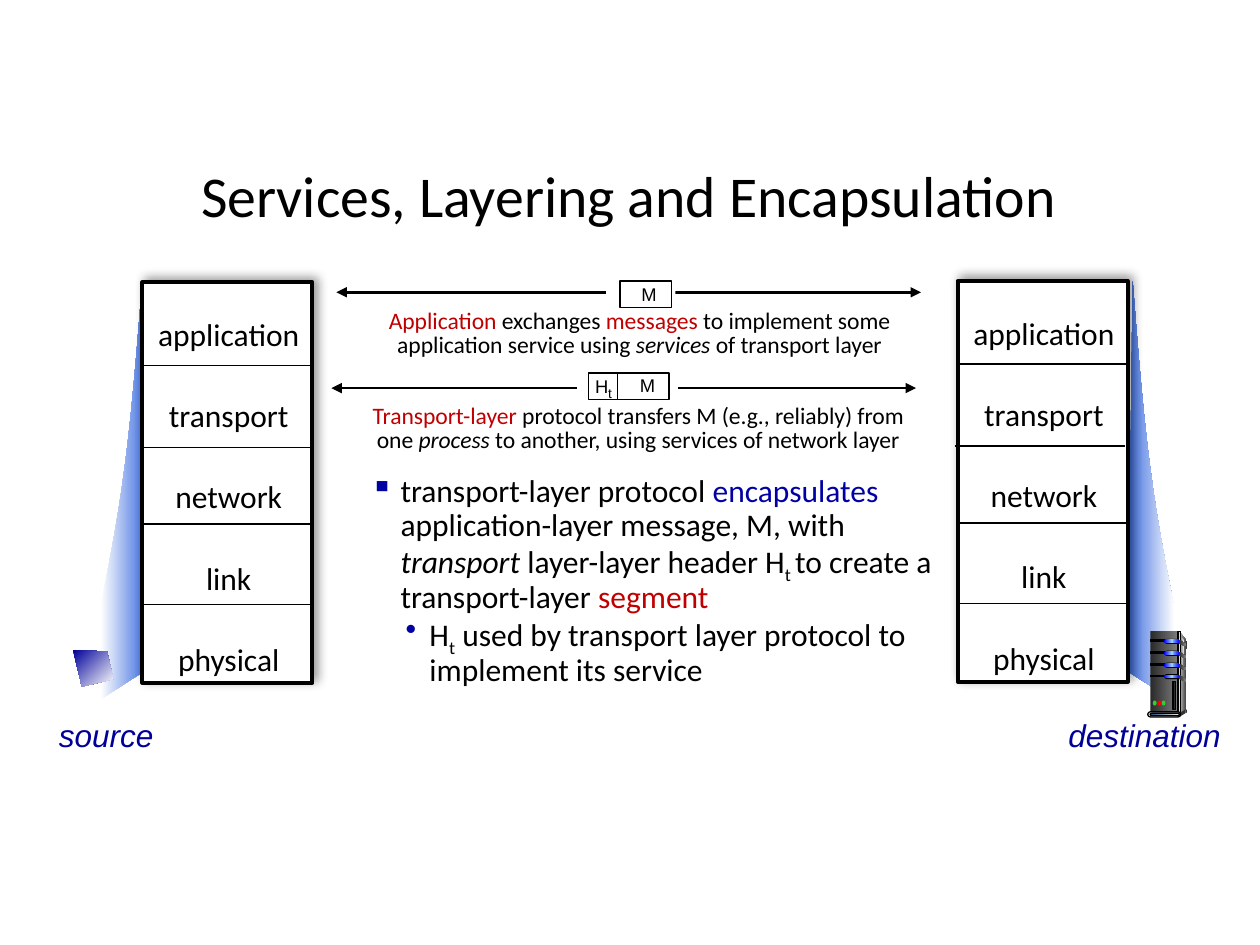
"""Build the slide on services, layering and encapsulation on a grid of 1000 columns by 750 rows."""
from copy import deepcopy
from dataclasses import dataclass
from typing import NamedTuple, Optional

from lxml import etree
from pptx import Presentation
from pptx.dml.color import RGBColor
from pptx.enum.shapes import MSO_CONNECTOR, MSO_SHAPE
from pptx.enum.text import MSO_ANCHOR, MSO_AUTO_SIZE, PP_ALIGN
from pptx.oxml.ns import qn
from pptx.util import Inches, Pt

RECT, ROUND, OVAL = MSO_SHAPE.RECTANGLE, MSO_SHAPE.ROUNDED_RECTANGLE, MSO_SHAPE.OVAL
STRAIGHT = MSO_CONNECTOR.STRAIGHT
LEFT, CENTER = PP_ALIGN.LEFT, PP_ALIGN.CENTER
TOP, MIDDLE = MSO_ANCHOR.TOP, MSO_ANCHOR.MIDDLE
GROW, FIXED = MSO_AUTO_SIZE.SHAPE_TO_FIT_TEXT, MSO_AUTO_SIZE.NONE

BLACK, WHITE = RGBColor(0, 0, 0), RGBColor(255, 255, 255)
CRIMSON, INDIGO, NAVY = (RGBColor.from_string(c) for c in ("C00000", "0000A3", "000099"))
BEAM, BLUE, SKY = (RGBColor.from_string(c) for c in ("3C6CDF", "0000FF", "99CCFF"))
COAL, CHARCOAL, GREY = (RGBColor.from_string(c) for c in ("292929", "333333", "808080"))
SILVER, PALE = (RGBColor.from_string(c) for c in ("DDDDDD", "F8F8F8"))
GREEN, RED = (RGBColor.from_string(c) for c in ("33CC33", "FF0000"))
SLATE, CREAM = (RGBColor.from_string(c) for c in ("1F497D", "EEECE1"))

CELL = Inches(0.01)
COLUMNS, ROWS = 1000, 750
LAYERS = ("application", "transport", "network", "link", "physical")
DIVIDERS = ((0, 66), (-2, 131), (-1, 192), (-1, 256))
CURVE_STEPS = 12


class Box(NamedTuple):
    col: float
    row: float
    cols: float
    rows: float

    def emu(self) -> list[int]:
        return [round(length * CELL) for length in self]


@dataclass
class Words:
    text: str
    color: RGBColor = BLACK
    italic: bool = False
    subscript: bool = False
    size: Optional[float] = None


@dataclass
class Field:
    frame: Box
    label: Box
    words: list[Words]


@dataclass
class Exchange:
    arrow_col: float
    arrow_row: float
    gap: Box
    fields: list[Field]
    caption: Box
    sentence: list[Words]


@dataclass
class Endpoint:
    stack: Box
    name: str
    name_box: Box


def paint(shape, colors: tuple, outline: float = 0, angle: float = 0) -> None:
    """Fill with one colour or an even gradient, and outline in black."""
    shape.shadow.inherit = False
    if len(colors) == 1:
        shape.fill.solid()
        shape.fill.fore_color.rgb = colors[0]
    else:
        shape.fill.gradient()
        shape.fill.gradient_angle = angle
        stop_list = shape.element.spPr.find(qn("a:gradFill")).find(qn("a:gsLst"))
        for _ in colors[2:]:
            stop_list.append(deepcopy(stop_list[0]))
        for index, (stop, color) in enumerate(zip(shape.fill.gradient_stops, colors)):
            stop.position = index / (len(colors) - 1)
            stop.color.rgb = color
    if outline:
        shape.line.color.rgb = BLACK
        shape.line.width = Pt(outline)
    else:
        shape.line.fill.background()


def add_block(slide, kind, box: Box, *colors: RGBColor, outline: float = 0):
    """Draw a preset shape, with fully rounded ends where it is rounded."""
    block = slide.shapes.add_shape(kind, *box.emu())
    if kind == ROUND:
        block.adjustments[0] = 0.5
    paint(block, colors, outline)
    return block


def add_outline(slide, steps: list[tuple], *colors: RGBColor, angle: float = 0) -> None:
    """Draw a closed outline of points and six-number Bezier curves."""
    points = [steps[0]]
    for step in steps[1:]:
        if len(step) == 2:
            points.append(step)
            continue
        start, first, second, end = points[-1], step[:2], step[2:4], step[4:]
        for t in (n / CURVE_STEPS for n in range(1, CURVE_STEPS + 1)):
            u = 1 - t
            points.append(tuple(
                u**3 * a + 3 * u * u * t * b + 3 * u * t * t * c + t**3 * d
                for a, b, c, d in zip(start, first, second, end)))
    corners = [(x * CELL, y * CELL) for x, y in points]
    builder = slide.shapes.build_freeform(*corners[0], scale=1.0)
    builder.add_line_segments(corners[1:], close=True)
    paint(builder.convert_to_shape(), colors, angle=angle)


def add_line(slide, start: tuple, end: tuple, width: float, arrows: bool = False) -> None:
    """Draw a black line, optionally with an arrowhead at both ends."""
    line = slide.shapes.add_connector(
        STRAIGHT, *(round(v * CELL) for v in (*start, *end)))
    line.line.color.rgb = BLACK
    line.line.width = Pt(width)
    properties = line.element.spPr
    if arrows:
        for tag in ("a:headEnd", "a:tailEnd"):
            etree.SubElement(properties.find(qn("a:ln")), qn(tag), type="triangle")
    etree.SubElement(properties, qn("a:effectLst"))


def add_words(paragraph, words: list[Words], font: str, size: float) -> None:
    """Add formatted runs to a paragraph."""
    for part in words:
        run = paragraph.add_run()
        run.text = part.text
        run.font.name, run.font.size = font, Pt(part.size or size)
        run.font.color.rgb, run.font.italic = part.color, part.italic
        if part.subscript:
            run.font._element.set("baseline", "-25000")


def add_bullet(paragraph, level: int, mark: str, margin: float, hang: float) -> None:
    """Give a paragraph a coloured bullet and a hanging indent."""
    paragraph.level = level
    properties = paragraph._p.get_or_add_pPr()
    properties.set("marL", str(Inches(margin)))
    properties.set("indent", str(-Inches(hang)))
    color = etree.SubElement(properties, qn("a:buClr"))
    etree.SubElement(color, qn("a:srgbClr"), val=str(INDIGO))
    etree.SubElement(properties, qn("a:buChar"), char=mark)


def add_text(slide, box: Box, paragraphs: list[list[Words]], font: str, size: float,
             align=LEFT, spacing: float = 1.0, wrap: bool = True, anchor=TOP,
             bullets: tuple = ()) -> None:
    """Place a text box with one list of runs per paragraph."""
    frame = slide.shapes.add_textbox(*box.emu()).text_frame
    frame.word_wrap, frame.vertical_anchor = wrap, anchor
    frame.auto_size = FIXED if anchor == MIDDLE else GROW
    for index, words in enumerate(paragraphs):
        paragraph = frame.add_paragraph() if index else frame.paragraphs[0]
        if bullets:
            add_bullet(paragraph, index, *bullets[index])
        paragraph.alignment, paragraph.line_spacing = align, spacing
        add_words(paragraph, words, font, size)


def add_endpoint(slide, endpoint: Endpoint) -> None:
    """Draw a shadowed protocol stack and the name of its host."""
    col, row, cols, _ = endpoint.stack
    stack = add_block(slide, RECT, endpoint.stack, WHITE, outline=2.25)
    shadow = etree.SubElement(
        stack.element.spPr.find(qn("a:effectLst")), qn("a:outerShdw"),
        blurRad=str(Pt(6)), dist=str(Pt(3)), dir="18900000", rotWithShape="0")
    tint = etree.SubElement(shadow, qn("a:srgbClr"), val=str(BLACK))
    etree.SubElement(tint, qn("a:alpha"), val="40000")
    add_text(slide, Box(col - 4, row - 13.5, cols + 10, 336),
             [[Words(layer)] for layer in LAYERS], "Calibri", 18, CENTER, 2.15)
    for shift, depth in DIVIDERS:
        add_line(slide, (col + shift, row + depth), (col + shift + cols, row + depth), 0.75)
    add_text(slide, endpoint.name_box, [[Words(endpoint.name, NAVY, True)]],
             "Arial", 18, wrap=False)


def add_exchange(slide, exchange: Exchange) -> None:
    """Draw a two-way arrow interrupted by a packet, with its caption."""
    col, row = exchange.arrow_col, exchange.arrow_row
    add_line(slide, (col, row), (col + 464, row), 1.5, arrows=True)
    add_text(slide, exchange.caption, [exchange.sentence], "Calibri", 13.5, CENTER, 0.85)
    add_block(slide, RECT, exchange.gap, WHITE)
    for field in exchange.fields:
        add_block(slide, RECT, field.frame, WHITE, outline=0.75)
        add_text(slide, field.label, [field.words], "Arial", 10.5, CENTER,
                 wrap=False, anchor=MIDDLE)


def add_server(slide) -> None:
    """Draw the destination tower with its drive slots, lights and base."""
    add_outline(slide, [(936, 501), (942, 509), (941, 563), (935, 566)], SILVER, CHARCOAL)
    add_block(slide, RECT, Box(913, 501, 23, 65), COAL, GREY)
    add_outline(slide, [(937, 505), (937, 505, 938, 505, 940, 510),
                        (937, 534, 937, 565, 937, 564)], GREY, PALE)
    add_block(slide, RECT, Box(935, 501, 2, 65), CHARCOAL, SILVER, CHARCOAL, outline=0.75)
    for row in (508, 517.5, 527, 536):
        add_block(slide, RECT, Box(913, row, 13, 1), BLACK, outline=0.75)
        add_block(slide, ROUND, Box(924, row - 1, 12, 4), BLACK)
        add_block(slide, ROUND, Box(924, row - 0.5, 12, 3), BLUE, SKY, BLUE)
        add_outline(slide, [(936, row), (937, row, 939, row + 2, 941, row + 3),
                            (941, row + 5), (941, row + 5, 939, row + 4, 936, row + 3)],
                    COAL, GREY)
    add_block(slide, OVAL, Box(941, 563, 1, 3), CHARCOAL)
    add_outline(slide, [(936, 566), (936, 569), (941, 566), (941, 563)], CHARCOAL)
    add_block(slide, ROUND, Box(911, 565, 26, 4), SILVER, outline=0.75)
    add_block(slide, ROUND, Box(913, 566, 23, 2), SLATE, CREAM, outline=0.75)
    for col, light in zip((915, 918.5, 922), (GREEN, RED, GREEN)):
        add_block(slide, OVAL, Box(col, 556, 3, 4), light)
    add_block(slide, RECT, Box(931, 541, 2, 22), COAL, outline=0.75)


ENDPOINTS = (Endpoint(Box(113, 224, 135, 318), "source", Box(37, 563, 96, 40)),
             Endpoint(Box(760, 223, 135, 318), "destination", Box(838, 563, 142, 40)))
EXCHANGES = (
    Exchange(263, 308, Box(458, 288, 80, 32),
             [Field(Box(467, 296, 23, 21), Box(467, 294, 24, 24),
                    [Words("H"), Words("t", subscript=True, size=13.5)]),
              Field(Box(490, 296, 41, 21), Box(486, 293, 56, 25), [Words("M")])],
             Box(276, 317, 461, 49),
             [Words("Transport-layer ", CRIMSON),
              Words("protocol transfers M (e.g., reliably) from one "),
              Words("process", italic=True),
              Words(" to another, using services of network layer")]),
    Exchange(267, 232, Box(481, 216, 55, 32),
             [Field(Box(492, 223, 41, 21), Box(487, 221, 56, 25), [Words("M")])],
             Box(277, 241, 461, 49),
             [Words("Application ", CRIMSON), Words("exchanges "), Words("messages", CRIMSON),
              Words(" to implement some application service using "),
              Words("services", italic=True), Words(" of transport layer")]))
POINTS = [
    [Words("transport-layer protocol "), Words("encapsulates", INDIGO),
     Words(" application-layer message, M, with "), Words("transport", italic=True),
     Words(" layer-layer header H"), Words("t ", subscript=True),
     Words("to create a transport-layer "), Words("segment", CRIMSON)],
    [Words("H"), Words("t", subscript=True),
     Words(" used by transport layer protocol to implement its service")]]


def main() -> None:
    """Assemble and save the slide."""
    deck = Presentation()
    deck.slide_width, deck.slide_height = COLUMNS * CELL, ROWS * CELL
    slide = deck.slides.add_slide(deck.slide_layouts[5])
    title = slide.shapes.title
    title.left, title.top, title.width, title.height = Box(68, 118, 862, 73).emu()
    title.text_frame.vertical_anchor = MIDDLE
    title.text_frame.paragraphs[0].alignment = CENTER
    add_words(title.text_frame.paragraphs[0],
              [Words("Services, Layering and Encapsulation")], "Calibri", 33)
    add_outline(slide, [(932, 556), (895, 533), (899, 223),
                        (909, 357, 915, 398, 932, 482)], BEAM, WHITE)
    add_outline(slide, [(80, 555), (117, 531), (113, 222),
                        (103, 355, 97, 397, 80, 480)], WHITE, BEAM)
    add_outline(slide, [(58, 516), (85, 517), (90, 539), (65, 545)], NAVY, WHITE, angle=315)
    add_text(slide, Box(284, 372, 478, 174), POINTS, "Calibri", 18, spacing=0.9,
             bullets=(("▪", 0.24, 0.24), ("•", 0.47, 0.19)))
    add_server(slide)
    for endpoint in ENDPOINTS:
        add_endpoint(slide, endpoint)
    for exchange in EXCHANGES:
        add_exchange(slide, exchange)
    deck.save("out.pptx")


if __name__ == "__main__":
    main()
